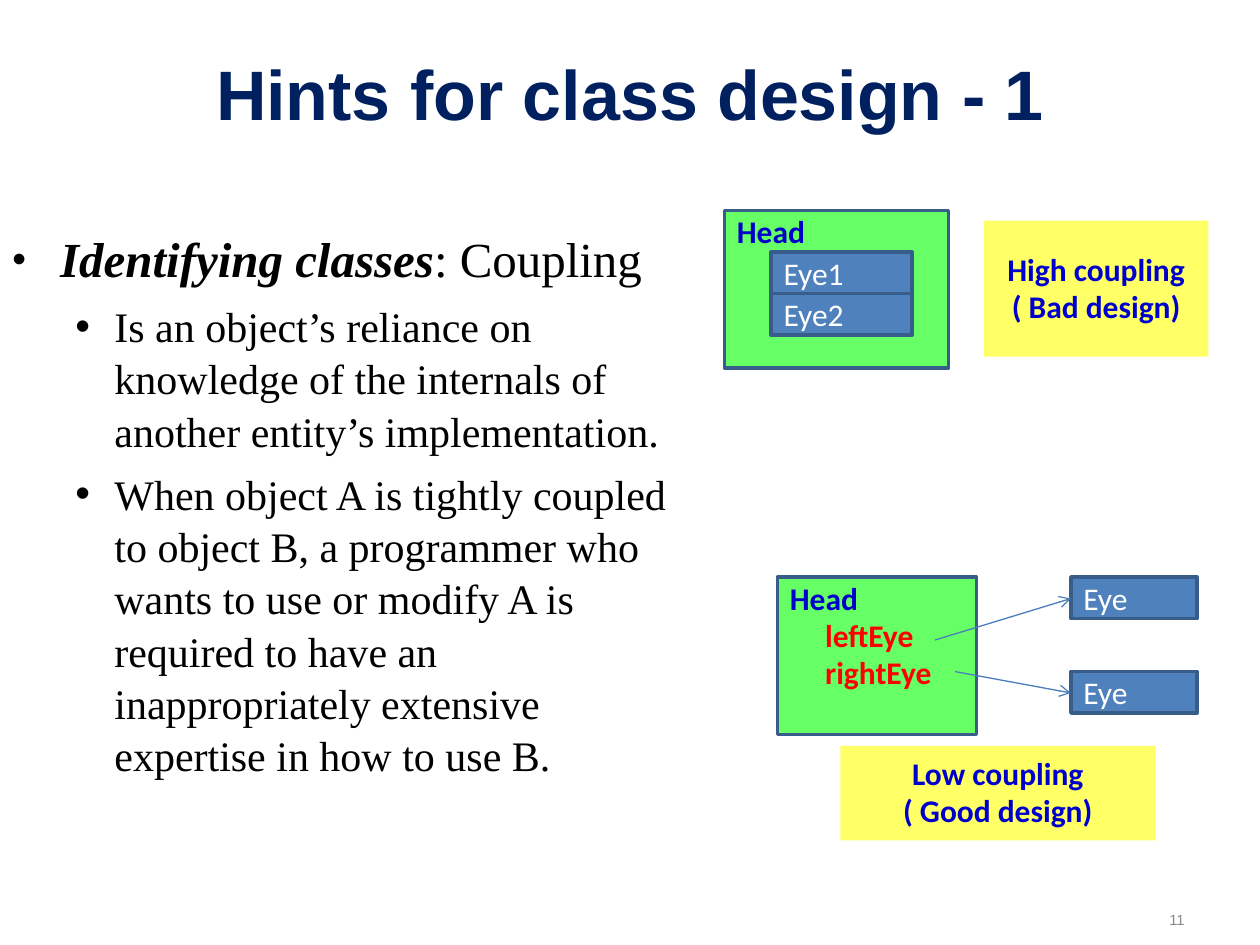
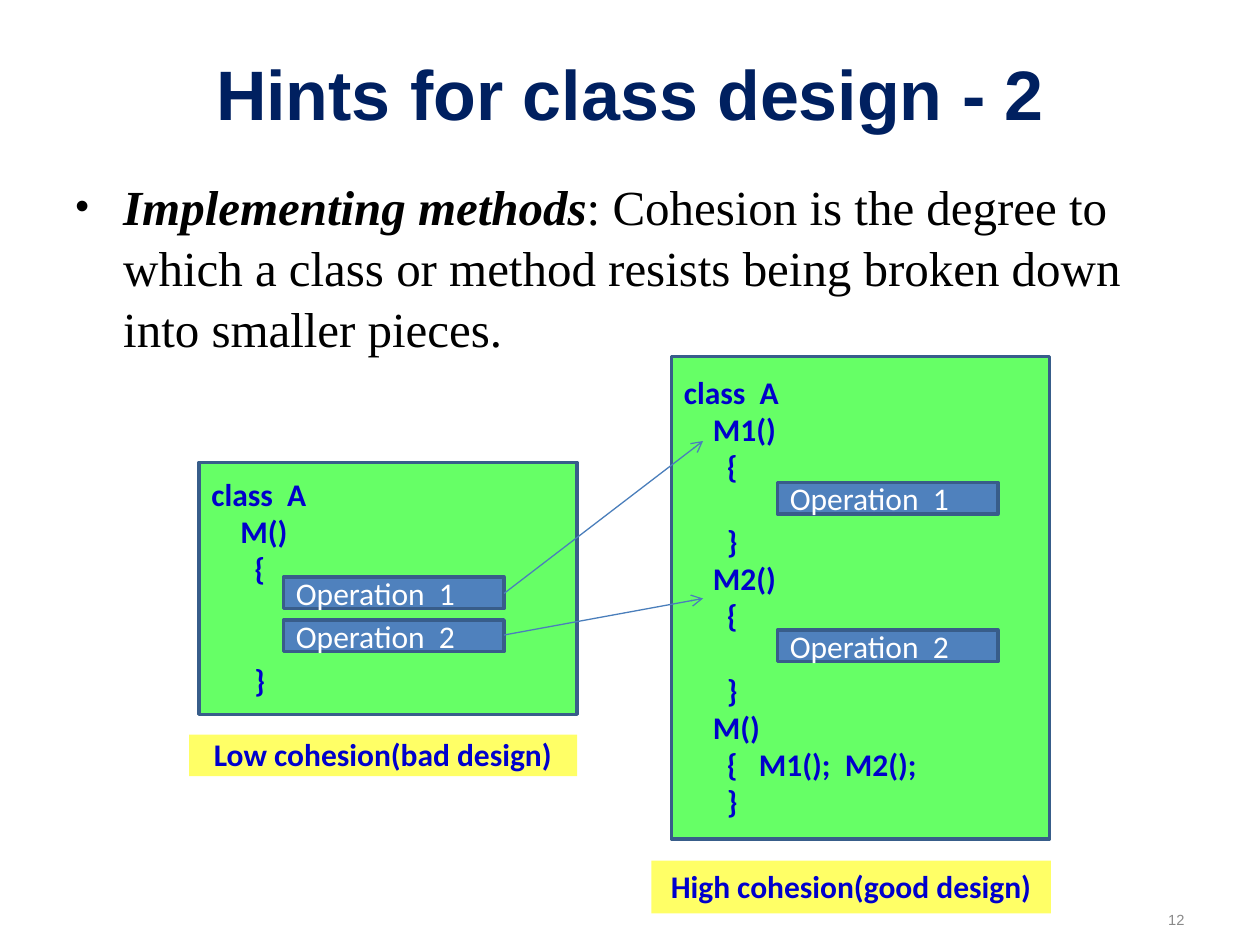
import pptx
import pptx.dml.color
import pptx.enum.shapes
import pptx.enum.text
import pptx.util
from lxml import etree
from pptx.oxml.ns import qn

Inches = pptx.util.Inches
Pt = pptx.util.Pt
ALIGN = pptx.enum.text.PP_ALIGN
ANCHOR = pptx.enum.text.MSO_ANCHOR

NAVY, BLACK, GREY, WHITE = "002060", "000000", "898989", "FFFFFF"
GREEN, YELLOW, BLUE, EDGE = "66FF66", "FFFF66", "4F81BD", "385D8A"
INK, RED, ARROW = "0000CC", "FF0000", "4A7EBB"

TITLE_FONT = {"name": "Arial", "size": Pt(40), "bold": True}
NUMBER_FONT = {"name": "Arial", "size": Pt(8.4)}
LABEL_FONT = {"name": "Calibri", "size": Pt(18), "bold": True}
PART_FONT = {"name": "Calibri", "size": Pt(18), "bold": False}
TERM_FONT = {"name": "Times New Roman", "size": Pt(28), "bold": True, "italic": True}
POINT_FONT = {"name": "Times New Roman", "size": Pt(28)}
DETAIL_FONT = {"name": "Times New Roman", "size": Pt(24)}

CODE_LINE = 21.5
METHOD, BRACE, FIELD = 0.23, 0.34, 0.28


def rgb(colour):
    return pptx.dml.color.RGBColor.from_string(colour)


def apply(target, values):
    for key, value in values.items():
        setattr(target, key, value)


def write(paragraph, text, font, colour):
    run = paragraph.add_run()
    run.text = text
    apply(run.font, font)
    run.font.color.rgb = rgb(colour)


def next_paragraph(frame, index):
    return frame.paragraphs[0] if index == 0 else frame.add_paragraph()


def indent(paragraph, left, first=0):
    properties = paragraph._p.get_or_add_pPr()
    properties.set("marL", str(Inches(left)))
    properties.set("indent", str(Inches(first)))
    return properties


def add_bullet(paragraph, left, hang, percent):
    properties = indent(paragraph, left, -hang)
    colour = etree.SubElement(properties, qn("a:buClr"))
    etree.SubElement(colour, qn("a:srgbClr"), val=BLACK)
    etree.SubElement(properties, qn("a:buSzPct"), val=str(percent * 1000))
    etree.SubElement(properties, qn("a:buFont"), typeface="Arial")
    etree.SubElement(properties, qn("a:buChar"), char="•")


def add_hint_slide(deck, title, number):
    slide = deck.slides.add_slide(deck.slide_layouts[5])
    heading = slide.shapes.title
    apply(heading, {"left": Inches(0.5), "top": Inches(0.3),
                    "width": Inches(9), "height": Inches(0.87)})
    heading.text_frame.vertical_anchor = ANCHOR.MIDDLE
    line = heading.text_frame.paragraphs[0]
    line.alignment = ALIGN.CENTER
    write(line, title, TITLE_FONT, NAVY)

    footer = slide.shapes.add_textbox(Inches(8.33), Inches(7.17), Inches(1.17), Inches(0.25))
    apply(footer.text_frame, {"word_wrap": True, "vertical_anchor": ANCHOR.MIDDLE})
    line = footer.text_frame.paragraphs[0]
    line.alignment = ALIGN.RIGHT
    write(line, str(number), NUMBER_FONT, GREY)
    return slide


def add_explanation(slide, box, term, meaning, details=()):
    """A bulleted term with its meaning, and second-level points below it."""
    frame = slide.shapes.add_textbox(*map(Inches, box)).text_frame
    frame.word_wrap = True
    point = frame.paragraphs[0]
    apply(point, {"space_before": Pt(7), "line_spacing": 1.04})
    add_bullet(point, 0.38, 0.38, 80)
    write(point, term, TERM_FONT, BLACK)
    write(point, meaning, POINT_FONT, BLACK)
    for detail in details:
        point = frame.add_paragraph()
        apply(point, {"level": 1, "space_before": Pt(6), "line_spacing": 1.04})
        add_bullet(point, 0.81, 0.31, 100)
        write(point, detail, DETAIL_FONT, BLACK)


def add_block(slide, box, fill, edge=EDGE):
    block = slide.shapes.add_shape(pptx.enum.shapes.MSO_SHAPE.RECTANGLE, *map(Inches, box))
    block.shadow.inherit = False
    block.fill.solid()
    block.fill.fore_color.rgb = rgb(fill)
    if edge:
        block.line.color.rgb = rgb(edge)
        block.line.width = Pt(2)
    else:
        block.line.fill.background()
    apply(block.text_frame, {"word_wrap": True, "vertical_anchor": ANCHOR.MIDDLE})
    return block.text_frame


def add_class(slide, box, lines, from_top=False):
    """A class box; each line is text, indent, empty lines above it and colour."""
    frame = add_block(slide, box, GREEN)
    if from_top:
        apply(frame, {"vertical_anchor": ANCHOR.TOP, "margin_top": Inches(0.03)})
    for index, (text, left, skipped, colour) in enumerate(lines):
        line = next_paragraph(frame, index)
        apply(line, {"alignment": ALIGN.LEFT, "line_spacing": 0.98,
                     "space_before": Pt(skipped * CODE_LINE)})
        indent(line, left)
        write(line, text, LABEL_FONT, colour)


def add_part(slide, box, text):
    line = add_block(slide, box, BLUE).paragraphs[0]
    line.alignment = ALIGN.LEFT
    write(line, text, PART_FONT, WHITE)


def add_verdict(slide, box, *lines):
    frame = add_block(slide, box, YELLOW, edge=None)
    for index, text in enumerate(lines):
        line = next_paragraph(frame, index)
        apply(line, {"alignment": ALIGN.CENTER, "line_spacing": 0.98})
        write(line, text, LABEL_FONT, INK)


def add_arrow(slide, start, end):
    arrow = slide.shapes.add_connector(
        pptx.enum.shapes.MSO_CONNECTOR.STRAIGHT, *map(Inches, start + end))
    arrow.line.color.rgb = rgb(ARROW)
    arrow.line.width = Pt(0.75)
    etree.SubElement(arrow.line._get_or_add_ln(), qn("a:tailEnd"), type="arrow")
    etree.SubElement(arrow._element.spPr, qn("a:effectLst"))


def method(name, body_lines, skipped=0):
    """Code lines of a method whose body leaves room for body_lines lines."""
    return [(name, METHOD, skipped, INK), ("{", BRACE, 0, INK), ("}", BRACE, body_lines, INK)]


def build_coupling(deck):
    slide = add_hint_slide(deck, "Hints for class design - 1", 11)
    add_explanation(slide, (0, 1.75, 5.5, 4.5), "Identifying classes", ": Coupling", [
        "Is an object’s reliance on knowledge of the internals of another entity’s "
        "implementation.",
        "When object A is tightly coupled to object B, a programmer who wants to use or "
        "modify A is required to have an inappropriately extensive expertise in how to use B.",
    ])
    head = ("Head", 0, 0, INK)
    add_class(slide, (5.75, 1.67, 1.78, 1.25), [head], from_top=True)
    for index, eye in enumerate(("Eye1", "Eye2")):
        add_part(slide, (6.12, 2 + index * 0.33, 1.12, 0.33), eye)
    add_verdict(slide, (7.81, 1.75, 1.78, 1.08), "High coupling", "( Bad design)")

    fields = [(name, FIELD, 0, RED) for name in ("leftEye", "rightEye")]
    add_class(slide, (6.17, 4.58, 1.58, 1.25), [head] + fields, from_top=True)
    for top in (4.58, 5.33):
        add_part(slide, (8.5, top, 1, 0.33), "Eye")
    add_verdict(slide, (6.67, 5.92, 2.5, 0.75), "Low coupling", "( Good design)")
    add_arrow(slide, (7.42, 5.08), (8.5, 4.75))
    add_arrow(slide, (7.58, 5.33), (8.5, 5.5))


def build_cohesion(deck):
    slide = add_hint_slide(deck, "Hints for class design - 2", 12)
    add_explanation(
        slide, (0.5, 1.33, 9, 1.92), "Implementing methods",
        ": Cohesion is the degree to which a class or method resists being broken down "
        "into smaller pieces.")
    class_name = ("class  A", 0, 0, INK)
    add_class(slide, (1.58, 3.67, 3, 2), [class_name] + method("M()", 2))
    add_verdict(slide, (1.5, 5.83, 3.08, 0.33), "Low cohesion(bad design)")

    calls = [("M()", METHOD, 0, INK), ("{   M1();  M2();", BRACE, 0, INK), ("}", BRACE, 0, INK)]
    add_class(slide, (5.33, 2.83, 3, 3.83),
              [class_name] + method("M1()", 1) + method("M2()", 1) + calls)
    add_verdict(slide, (5.17, 6.83, 3.17, 0.42), "High cohesion(good design)")

    for left, tops in ((2.25, (4.58, 4.92)), (6.17, (3.83, 5))):
        for number, top in enumerate(tops, 1):
            add_part(slide, (left, top, 1.75, 0.25), f"Operation  {number}")
    add_arrow(slide, (4, 4.71), (5.58, 3.5))
    add_arrow(slide, (4, 5.04), (5.58, 4.75))


def main():
    deck = pptx.Presentation()
    deck.slide_width, deck.slide_height = Inches(10), Inches(7.5)
    build_coupling(deck)
    build_cohesion(deck)
    deck.save("out.pptx")


if __name__ == "__main__":
    main()
